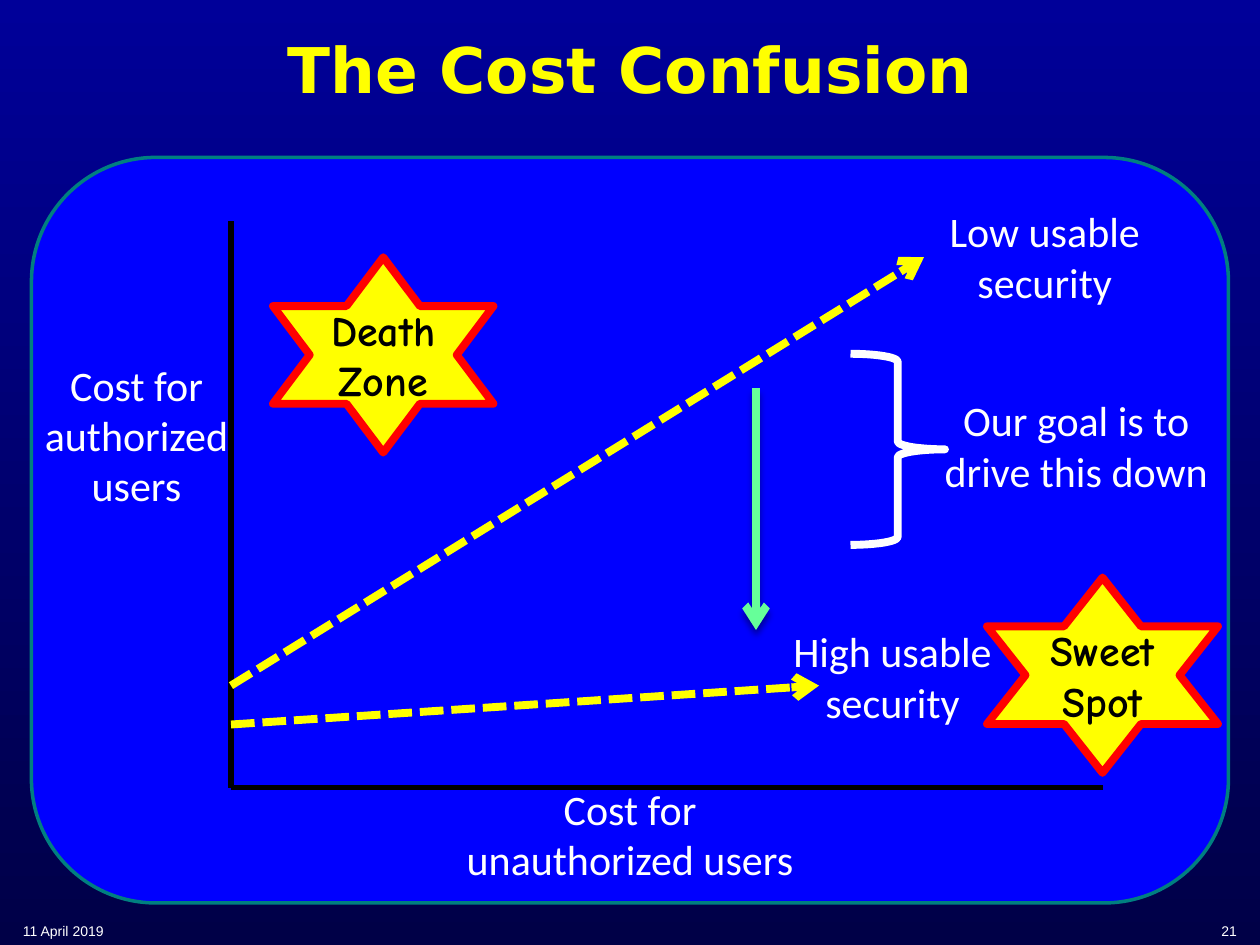
"""Build the cost confusion slide on a grid of 120 columns by 90 rows."""
from dataclasses import dataclass

from lxml.etree import SubElement
from pptx import Presentation
from pptx.dml.color import RGBColor
from pptx.enum.dml import MSO_LINE
from pptx.enum.shapes import MSO_CONNECTOR, MSO_SHAPE
from pptx.enum.text import MSO_ANCHOR, MSO_AUTO_SIZE, PP_ALIGN
from pptx.oxml.ns import qn
from pptx.shapes.autoshape import Shape
from pptx.slide import Slide
from pptx.text.text import TextFrame
from pptx.util import Inches, Pt

WIDE, HIGH = Inches(10), Inches(7.5)
COLS, ROWS = 120, 90
WHITE, YELLOW, BLACK, RED = "FFFFFF", "FFFF00", "000000", "FF0000"
BLUE, TEAL, GREEN = "0000FF", "007F80", "66FF99"


@dataclass(frozen=True)
class Box:
    """A place on the grid."""
    col: float
    row: float
    cols: float
    rows: float

    def place(self) -> tuple[int, int, int, int]:
        """Give left, top, width and height in slide units."""
        return (*spot(self.col, self.row), *spot(self.cols, self.rows))


@dataclass(frozen=True)
class Font:
    """The look of a run."""
    name: str
    size: float
    tint: str = WHITE
    bold: bool = False


@dataclass(frozen=True)
class Note:
    """A piece of text in its box."""
    text: str
    box: Box
    font: Font
    align: PP_ALIGN = PP_ALIGN.CENTER
    anchor: MSO_ANCHOR = MSO_ANCHOR.TOP
    grow: bool = True


@dataclass(frozen=True)
class Form:
    """A preset shape with its paint."""
    kind: MSO_SHAPE
    box: Box
    fill: str | None
    edge: str
    width: float


@dataclass(frozen=True)
class Line:
    """A straight line between two grid points."""
    start: tuple[float, float]
    end: tuple[float, float]
    tint: str
    width: float
    dash: bool = False
    arrow: bool = False
    shade: bool = False


LABEL = Font("Calibri", 24)
SMALL = Font("Arial", 8)
COMIC = Font("Comic Neue", 24, BLACK, True)
HEAD = Font("DejaVu Sans", 36, YELLOW, True)

TITLE = Note("The Cost Confusion", Box(1, 1, 118, 11), HEAD,
             anchor=MSO_ANCHOR.MIDDLE, grow=False)
FOOT = [
    Note("11 April 2019", Box(1, 87, 25, 3), SMALL, PP_ALIGN.LEFT, MSO_ANCHOR.BOTTOM, False),
    Note("21", Box(106, 87, 13, 3), SMALL, PP_ALIGN.RIGHT, MSO_ANCHOR.BOTTOM, False),
]
PANEL = Form(MSO_SHAPE.ROUNDED_RECTANGLE, Box(3, 15, 114, 71), BLUE, TEAL, 2)
BRACE = Form(MSO_SHAPE.RIGHT_BRACE, Box(81, 33.7, 9, 18.2), None, WHITE, 4.5)
AXES = [
    Line((22, 75), (22, 21), BLACK, 3),
    Line((22, 75), (105, 75), BLACK, 3),
]
NOTES = [
    Note("Low usable security", Box(88, 19, 23, 11), LABEL),
    Note("Cost for authorized users", Box(3, 33.6, 20, 15.7), LABEL),
    Note("Cost for unauthorized users", Box(43, 74, 34, 11), LABEL),
    Note("High usable security", Box(74, 59, 22, 11), LABEL),
    Note("Our goal is to drive this down", Box(88, 37, 29, 11), LABEL),
]
STARS = [
    Note("Death Zone", Box(26, 24.5, 21, 18.6), COMIC, anchor=MSO_ANCHOR.MIDDLE, grow=False),
    Note("Sweet Spot", Box(94, 55, 22, 18.6), COMIC, anchor=MSO_ANCHOR.MIDDLE, grow=False),
]
TRENDS = [
    Line((22, 69), (78, 65.3), YELLOW, 4.5, dash=True, arrow=True),
    Line((22, 65.3), (88, 24.5), YELLOW, 4.5, dash=True, arrow=True),
    Line((72, 37), (72, 60), GREEN, 4.5, arrow=True, shade=True),
]


def spot(col: float, row: float) -> tuple[int, int]:
    """Turn grid columns and rows into slide units."""
    return round(WIDE * col / COLS), round(HIGH * row / ROWS)


def paint(code: str) -> RGBColor:
    """Turn a hex string into a colour."""
    return RGBColor.from_string(code)


def write(frame: TextFrame, note: Note) -> None:
    """Put the words of a note into a frame."""
    frame.word_wrap = True
    frame.auto_size = MSO_AUTO_SIZE.SHAPE_TO_FIT_TEXT if note.grow else MSO_AUTO_SIZE.NONE
    frame.vertical_anchor = note.anchor
    para = frame.paragraphs[0]
    para.alignment = note.align
    run = para.add_run()
    run.text = note.text
    font = run.font
    font.name, font.size, font.bold = note.font.name, Pt(note.font.size), note.font.bold
    font.color.rgb = paint(note.font.tint)


def label(slide: Slide, note: Note) -> None:
    """Draw a text box."""
    write(slide.shapes.add_textbox(*note.box.place()).text_frame, note)


def draw(slide: Slide, form: Form) -> Shape:
    """Draw a preset shape."""
    shape = slide.shapes.add_shape(form.kind, *form.box.place())
    shape.shadow.inherit = False
    if form.fill:
        shape.fill.solid()
        shape.fill.fore_color.rgb = paint(form.fill)
    else:
        shape.fill.background()
    shape.line.color.rgb = paint(form.edge)
    shape.line.width = Pt(form.width)
    return shape


def star(slide: Slide, note: Note) -> None:
    """Draw a star with its words."""
    form = Form(MSO_SHAPE.STAR_6_POINT, note.box, YELLOW, RED, 4.5)
    write(draw(slide, form).text_frame, note)


def link(slide: Slide, line: Line) -> None:
    """Draw a line, dashed, tipped or shaded as asked."""
    shape = slide.shapes.add_connector(
        MSO_CONNECTOR.STRAIGHT, *spot(*line.start), *spot(*line.end))
    shape.line.color.rgb = paint(line.tint)
    shape.line.width = Pt(line.width)
    if line.dash:
        shape.line.dash_style = MSO_LINE.SQUARE_DOT
    props = shape.element.spPr
    if line.arrow:
        SubElement(props.find(qn("a:ln")), qn("a:tailEnd"), type="arrow")
    glow = SubElement(props, qn("a:effectLst"))
    if line.shade:
        cast = SubElement(glow, qn("a:outerShdw"), blurRad=str(int(Pt(4))),
                          dist=str(int(Pt(3))), dir="5400000", rotWithShape="0")
        tint = SubElement(cast, qn("a:srgbClr"), val=BLACK)
        SubElement(tint, qn("a:alpha"), val="40000")


def main() -> None:
    """Build and save the slide."""
    deck = Presentation()
    deck.slide_width, deck.slide_height = WIDE, HIGH
    slide = deck.slides.add_slide(deck.slide_layouts[5])
    back = slide.background.fill
    back.gradient()
    back.gradient_angle = 270
    for stop, code in zip(back.gradient_stops, ("000099", "000047")):
        stop.color.rgb = paint(code)
    title = slide.shapes.title
    title.left, title.top, title.width, title.height = TITLE.box.place()
    write(title.text_frame, TITLE)
    for note in FOOT:
        label(slide, note)
    draw(slide, PANEL)
    for line in AXES:
        link(slide, line)
    for note in NOTES:
        label(slide, note)
    for note in STARS:
        star(slide, note)
    for line in TRENDS:
        link(slide, line)
    draw(slide, BRACE)
    deck.save("out.pptx")


if __name__ == "__main__":
    main()
